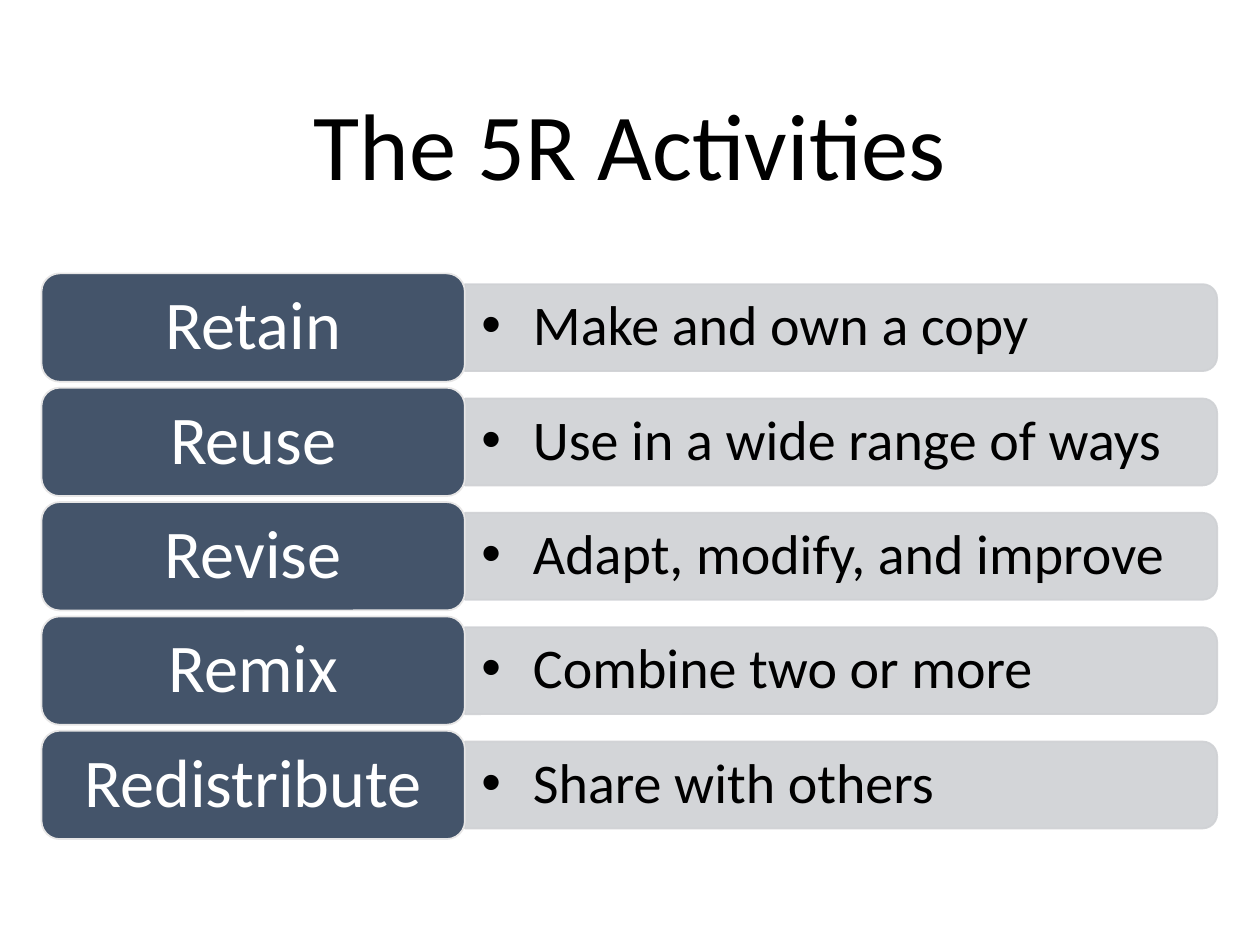
from dataclasses import dataclass

from lxml import etree
from pptx import Presentation
from pptx.dml.color import RGBColor
from pptx.enum.shapes import MSO_SHAPE
from pptx.enum.text import MSO_ANCHOR, MSO_AUTO_SIZE, PP_ALIGN
from pptx.oxml.ns import qn
from pptx.util import Inches, Pt

ROUNDED = MSO_SHAPE.ROUNDED_RECTANGLE
ROUNDED_TOP = MSO_SHAPE.ROUND_2_SAME_RECTANGLE
MIDDLE = MSO_ANCHOR.MIDDLE
NO_AUTOFIT = MSO_AUTO_SIZE.NONE
CENTER = PP_ALIGN.CENTER
LEFT = PP_ALIGN.LEFT


@dataclass(frozen=True)
class Theme:
    font: str = "Calibri"
    ink: str = "000000"
    label_ink: str = "FFFFFF"
    label_fill: str = "44546A"
    label_line: str = "E7E6E6"
    bar_fill: str = "CFD1D4"
    bar_opacity: int = 90
    title_size: int = 54
    label_size: int = 39
    detail_size: int = 32


THEME = Theme()

ACTIVITIES = [
    ("Retain", "Make and own a copy"),
    ("Reuse", "Use in a wide range of ways"),
    ("Revise", "Adapt, modify, and improve"),
    ("Remix", "Combine two or more"),
    ("Redistribute", "Share with others"),
]

FIRST_TOP, LAST_TOP = 2.17, 5.80
PITCH = (LAST_TOP - FIRST_TOP) / (len(ACTIVITIES) - 1)
LABEL_LEFT, LABEL_WIDTH, LABEL_HEIGHT = 0.33, 3.36, 0.86
BAR_LEFT, BAR_LENGTH, BAR_THICKNESS = 3.69, 5.97, 0.69
DETAIL_WIDTH, DETAIL_HEIGHT = 5.94, 0.62


def add_bullet(paragraph, indent):
    properties = paragraph._p.get_or_add_pPr()
    properties.set("marL", str(Inches(indent)))
    properties.set("indent", str(-Inches(indent)))
    etree.SubElement(properties, qn("a:buFont"), typeface="Arial")
    etree.SubElement(properties, qn("a:buChar"), char="•")


def write_text(holder, text, size, color=THEME.ink, align=LEFT,
               insets=(0.1, 0.05), line_spacing=None, bullet_indent=None):
    frame = holder.text_frame
    frame.word_wrap = True
    frame.auto_size = NO_AUTOFIT
    frame.vertical_anchor = MIDDLE
    frame.margin_left = frame.margin_right = Inches(insets[0])
    frame.margin_top = frame.margin_bottom = Inches(insets[1])
    paragraph = frame.paragraphs[0]
    if bullet_indent:
        add_bullet(paragraph, bullet_indent)
    paragraph.alignment = align
    paragraph.line_spacing = line_spacing
    run = paragraph.add_run()
    run.text = text
    run.font.name = THEME.font
    run.font.size = Pt(size)
    run.font.color.rgb = RGBColor.from_string(color)


def set_opacity(shape, percent):
    for color in shape._element.spPr.iter(qn("a:srgbClr")):
        etree.SubElement(color, qn("a:alpha"), val=str(percent * 1000))


def add_panel(slide, preset, left, top, width, height, fill, line):
    panel = slide.shapes.add_shape(
        preset, Inches(left), Inches(top), Inches(width), Inches(height))
    panel.shadow.inherit = False
    panel.fill.solid()
    panel.fill.fore_color.rgb = RGBColor.from_string(fill)
    panel.line.color.rgb = RGBColor.from_string(line)
    panel.line.width = Pt(1)
    return panel


def add_detail(slide, center, text):
    bar = add_panel(
        slide, ROUNDED_TOP,
        BAR_LEFT + (BAR_LENGTH - BAR_THICKNESS) / 2, center - BAR_LENGTH / 2,
        BAR_THICKNESS, BAR_LENGTH, THEME.bar_fill, THEME.bar_fill)
    bar.rotation = 90
    set_opacity(bar, THEME.bar_opacity)
    detail = slide.shapes.add_textbox(
        Inches(BAR_LEFT), Inches(center - DETAIL_HEIGHT / 2),
        Inches(DETAIL_WIDTH), Inches(DETAIL_HEIGHT))
    write_text(detail, text, THEME.detail_size, insets=(0.13, 0.07),
               line_spacing=0.9, bullet_indent=0.41)


def add_label(slide, top, text):
    label = add_panel(slide, ROUNDED, LABEL_LEFT, top, LABEL_WIDTH,
                      LABEL_HEIGHT, THEME.label_fill, THEME.label_line)
    write_text(label, text, THEME.label_size, color=THEME.label_ink,
               align=CENTER, insets=(0.16, 0.08), line_spacing=0.9)


def add_title(slide, text):
    title = slide.shapes.title
    title.left, title.top = Inches(0.75), Inches(0.33)
    title.width, title.height = Inches(8.5), Inches(1.61)
    write_text(title, text, THEME.title_size, align=CENTER)


def main():
    deck = Presentation()
    deck.slide_width, deck.slide_height = Inches(10), Inches(7.5)
    slide = deck.slides.add_slide(deck.slide_layouts[5])
    add_title(slide, "The 5R Activities")
    for row, (activity, meaning) in enumerate(ACTIVITIES):
        top = FIRST_TOP + row * PITCH
        add_detail(slide, top + LABEL_HEIGHT / 2, meaning)
        add_label(slide, top, activity)
    deck.save("out.pptx")


if __name__ == "__main__":
    main()
